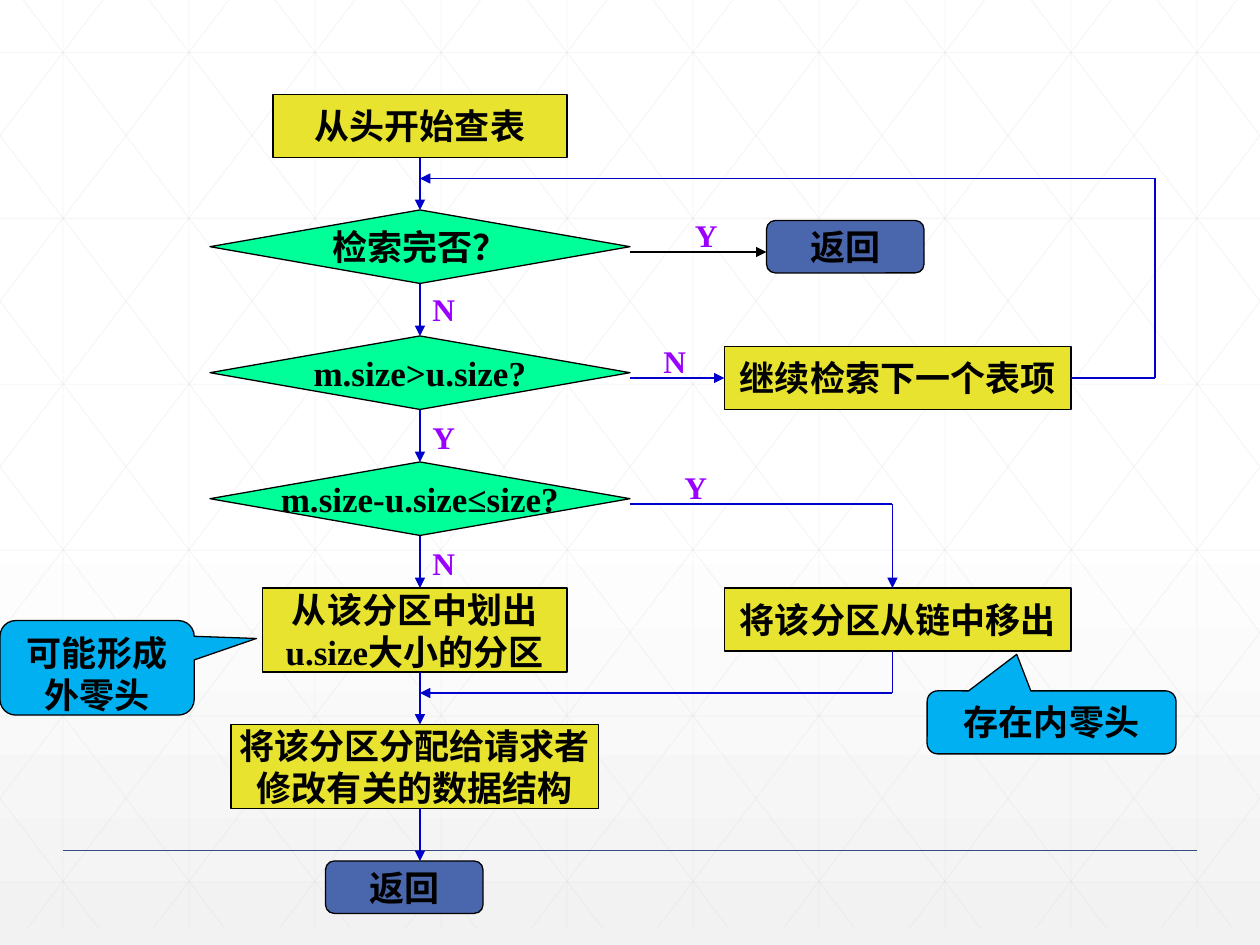
"""Build a flowchart slide of variable-partition memory allocation."""
from itertools import pairwise

from lxml.etree import SubElement
from pptx import Presentation
from pptx.dml.color import RGBColor
from pptx.enum.shapes import MSO_CONNECTOR, MSO_SHAPE as Shape
from pptx.enum.text import MSO_ANCHOR as Anchor, PP_ALIGN as Align
from pptx.oxml.ns import qn
from pptx.util import Inches, Pt

BLACK = RGBColor(0x00, 0x00, 0x00)
WHITE = RGBColor(0xFF, 0xFF, 0xFF)
PALE = RGBColor(0xF2, 0xF2, 0xF2)
MESH = RGBColor(0xD9, 0xD9, 0xD9)
RULE = RGBColor(0x38, 0x4C, 0x81)
FLOW = RGBColor(0x00, 0x00, 0xCC)
YELLOW = RGBColor(0xE7, 0xE3, 0x2F)
GREEN = RGBColor(0x00, 0xFF, 0x99)
BLUE = RGBColor(0x4A, 0x66, 0xAC)
SKY = RGBColor(0x00, 0xB0, 0xF0)
PURPLE = RGBColor(0x99, 0x00, 0xFF)

COLS, ROWS = 120, 90
CELL = Inches(10) // COLS

prs = Presentation()
prs.slide_width, prs.slide_height = COLS * CELL, ROWS * CELL
slide = prs.slides.add_slide(prs.slide_layouts[6])
joints = {}


def draw_line(start, end, color, width):
    ends = [round(v * CELL) for v in (*start, *end)]
    line = slide.shapes.add_connector(MSO_CONNECTOR.STRAIGHT, *ends)
    line.line.color.rgb = color
    line.line.width = Pt(width)
    SubElement(line._element.spPr, qn("a:effectLst"))
    if start in joints:
        line.begin_connect(*joints[start])
    if end in joints:
        line.end_connect(*joints[end])
    return line


def write(frame, text, align, **look):
    frame.text = text
    for paragraph in frame.paragraphs:
        paragraph.alignment = align
        for key, value in {"bold": True, **look}.items():
            setattr(paragraph.font, key, value)
        paragraph.font.color.rgb = PURPLE if align == Align.LEFT else BLACK


backdrop = slide.background.fill
backdrop.gradient()
backdrop.gradient_angle = 270
for stop, position, color in zip(backdrop.gradient_stops, (0.53, 1), (WHITE, PALE)):
    stop.position = position
    stop.color.rgb = color

MESH_BOTTOM, MESH_RUN = 88.4, 67.2
slope = MESH_BOTTOM / MESH_RUN
mesh = [((x, 0), (x, MESH_BOTTOM)) for x in range(6, COLS, 12)]
mesh += [((0, 5 + 15.8 * i), (COLS, 5 + 15.8 * i)) for i in range(6)]
for i in range(-5, 10):
    origin = 2.2 + 12 * i
    left, right = max(origin, 0), min(origin + MESH_RUN, COLS)
    top, bottom = (left - origin) * slope, (right - origin) * slope
    mesh += [((left, top), (right, bottom)), ((COLS - left, top), (COLS - right, bottom))]
for start, end in mesh:
    thread = draw_line(start, end, MESH, 0.5)
    tint = next(thread._element.spPr.iter(qn("a:srgbClr")))
    SubElement(tint, qn("a:alpha"), val="25000")
draw_line((6, 81), (114, 81), RULE, 1)

STEP, TEST, EXIT = (Shape.RECTANGLE, YELLOW), (Shape.DIAMOND, GREEN), (Shape.ROUNDED_RECTANGLE, BLUE)
NOTE = (Shape.ROUNDED_RECTANGULAR_CALLOUT, SKY)
nodes = [
    (STEP, 26, 9, 28, 6, "从头开始查表"),
    (TEST, 20, 20, 40, 7, "检索完否？"),
    (TEST, 20, 32, 40, 7, "m.size>u.size?"),
    (TEST, 20, 44, 40, 7, "m.size-u.size≤size?"),
    (STEP, 25, 56, 29, 8, "从该分区中划出\nu.size大小的分区"),
    (STEP, 22, 69, 35, 8, "将该分区分配给请求者\n修改有关的数据结构"),
    (EXIT, 31, 82, 15, 5, "返回"),
    (EXIT, 73, 21, 15, 5, "返回"),
    (STEP, 69, 33, 33, 6, "继续检索下一个表项"),
    (STEP, 69, 56, 33, 6, "将该分区从链中移出"),
    (NOTE, 0, 59.1, 18.5, 9, "可能形成\n外零头"),
    (NOTE, 88.3, 65.8, 23.7, 6, "存在内零头"),
]
pointers = iter([(0.82, -0.31), (-0.14, -1.08)])
for kind, x, y, w, h, text in nodes:
    outline, fill = kind
    node = slide.shapes.add_shape(outline, *(round(v * CELL) for v in (x, y, w, h)))
    node.shadow.inherit = False
    node.fill.solid()
    node.fill.fore_color.rgb = fill
    node.line.color.rgb = BLACK
    node.line.width = Pt(0.75)
    is_note = kind == NOTE
    if is_note:
        node.adjustments[0], node.adjustments[1] = next(pointers)
    node.text_frame.word_wrap = is_note
    node.text_frame.vertical_anchor = Anchor.TOP if is_note else Anchor.MIDDLE
    write(node.text_frame, text, Align.CENTER, size=Pt(20),
          name="Arial" if is_note else "Times New Roman")
    middles = [(x + w / 2, y), (x, y + h / 2), (x + w / 2, y + h), (x + w, y + h / 2)]
    joints.update({point: (node, side) for side, point in enumerate(middles)})

TRUNK, BRANCH, LOOP = 40, 85, 110
routes = [[(TRUNK, top), (TRUNK, bottom)]
          for top, bottom in [(15, 20), (27, 32), (39, 44), (51, 56), (64, 69), (77, 82)]]
routes += [
    [(60, 24), (73, 24)],
    [(60, 36), (69, 36)],
    [(60, 48), (BRANCH, 48), (BRANCH, 56)],
    [(BRANCH, 62), (BRANCH, 66), (TRUNK, 66)],
    [(102, 36), (LOOP, 36), (LOOP, 17), (TRUNK, 17)],
]
for route in routes:
    color = BLACK if route[-1] == (73, 24) else FLOW
    for start, end in pairwise(route):
        flow = draw_line(start, end, color, 0.75)
    SubElement(flow._element.spPr.find(qn("a:ln")), qn("a:tailEnd"), type="triangle")

answers = [("Y", 65, 20), ("N", TRUNK, 27), ("N", 62, 32),
           ("Y", TRUNK, 39.2), ("Y", 64, 44), ("N", TRUNK, 51.2)]
for letter, x, y in answers:
    answer = slide.shapes.add_textbox(*(round(v * CELL) for v in (x, y, 5, 4.8)))
    answer.text_frame.word_wrap = True
    write(answer.text_frame, letter, Align.LEFT, size=Pt(18), name="Times New Roman")

prs.save("out.pptx")
